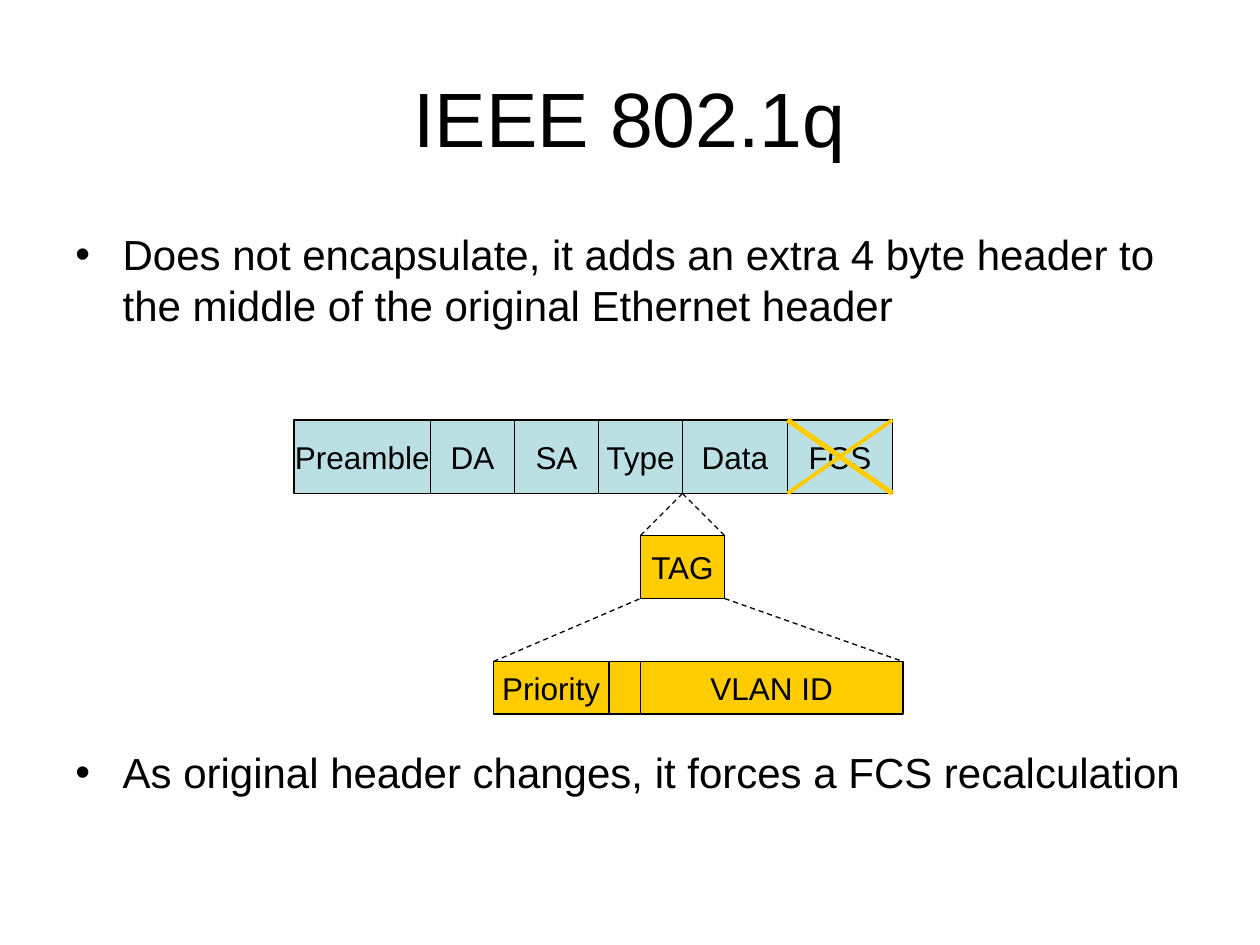
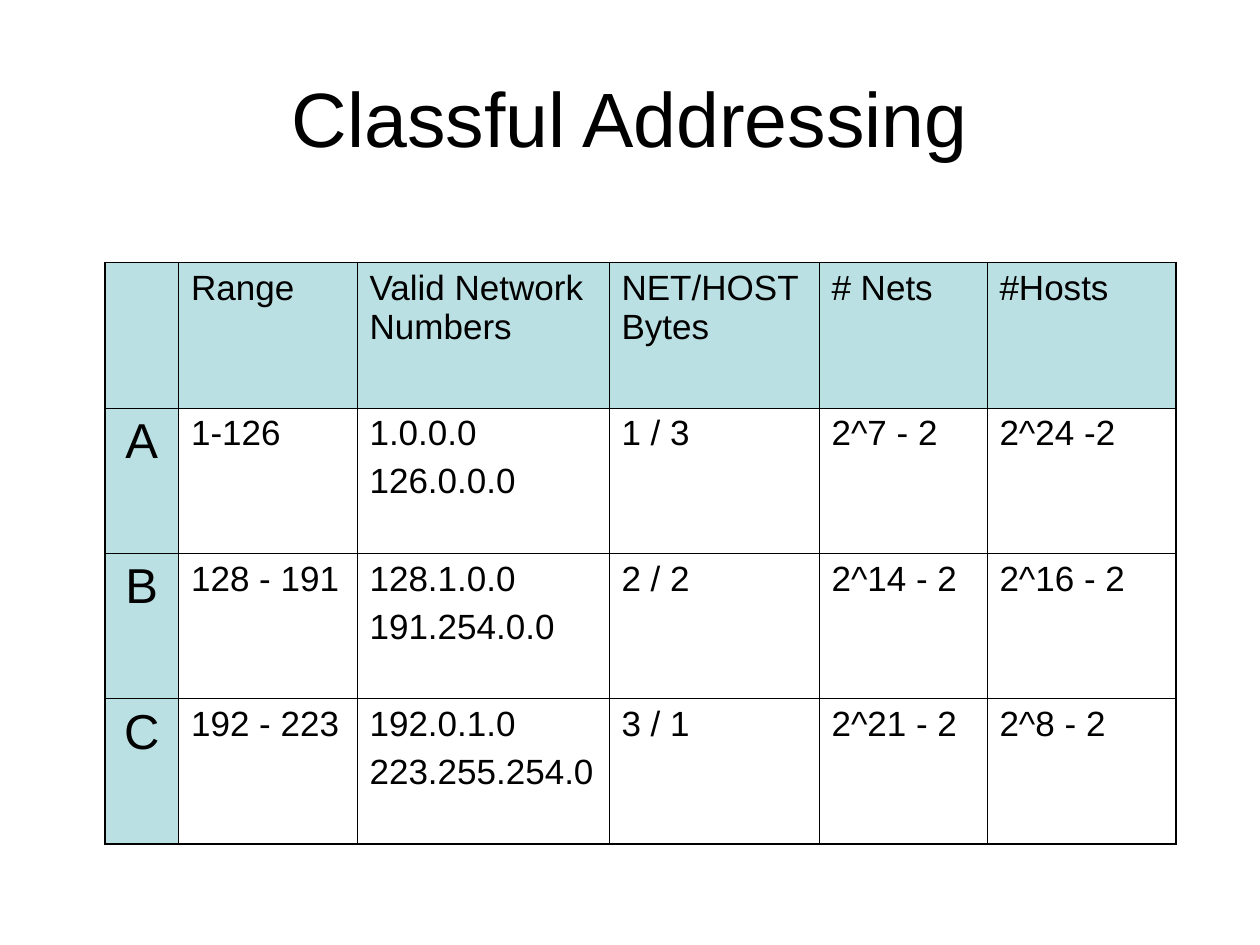
from itertools import product

from lxml.etree import SubElement
from pptx import Presentation
from pptx.dml.color import RGBColor
from pptx.enum.dml import MSO_LINE
from pptx.enum.shapes import MSO_CONNECTOR, MSO_SHAPE
from pptx.enum.text import MSO_ANCHOR, PP_ALIGN
from pptx.oxml.ns import qn
from pptx.util import Pt

FONT = "Arial"
BLACK = RGBColor(0x00, 0x00, 0x00)
TEAL = RGBColor(0xBB, 0xE0, 0xE3)
GOLD = RGBColor(0xFF, 0xCC, 0x00)
THIN, THICK = 0.45, 1.08


class Deck:
    def __init__(self):
        self.prs = Presentation()
        self.prs.slide_width, self.prs.slide_height = Pt(720), Pt(540)
        self.slide = None

    def style(self, frame, size, align=PP_ALIGN.LEFT):
        for para in frame.paragraphs:
            para.alignment = align
            for run in para.runs:
                run.font.name = FONT
                run.font.size = Pt(size)
                run.font.color.rgb = BLACK

    def page(self, title):
        self.slide = self.prs.slides.add_slide(self.prs.slide_layouts[5])
        head = self.slide.shapes.title
        head.left, head.top, head.width, head.height = Pt(36), Pt(21.6), Pt(648), Pt(90)
        frame = head.text_frame
        frame.text = title
        frame.vertical_anchor = MSO_ANCHOR.MIDDLE
        self.style(frame, 44, PP_ALIGN.CENTER)

    def bullets(self, left, top, width, height, texts, gap):
        frame = self.slide.shapes.add_textbox(
            Pt(left), Pt(top), Pt(width), Pt(height)).text_frame
        frame.word_wrap = True
        frame.text = "\n".join(texts)
        for i, para in enumerate(frame.paragraphs):
            props = para._p.get_or_add_pPr()
            props.set("marL", str(Pt(27)))
            props.set("indent", str(-Pt(27)))
            SubElement(props, qn("a:buFont")).set("typeface", FONT)
            SubElement(props, qn("a:buChar")).set("char", "•")
            para.line_spacing = Pt(29)
            if i:
                para.space_before = Pt(gap)
        self.style(frame, 24)

    def box(self, left, top, width, height, text, fill):
        box = self.slide.shapes.add_shape(
            MSO_SHAPE.RECTANGLE, Pt(left), Pt(top), Pt(width), Pt(height))
        box.shadow.inherit = False
        box.fill.solid()
        box.fill.fore_color.rgb = fill
        box.line.color.rgb = BLACK
        box.line.width = Pt(0.75)
        if text:
            frame = box.text_frame
            frame.text = text
            frame.word_wrap = False
            frame.vertical_anchor = MSO_ANCHOR.MIDDLE
            self.style(frame, 18, PP_ALIGN.CENTER)

    def row(self, left, top, height, fields, fill):
        """Draw adjoining fields from left to right and return the right edge."""
        for text, width in fields:
            self.box(left, top, width, height, text, fill)
            left += width
        return left

    def line(self, start, end, color=BLACK, width=0.75, dash=None):
        line = self.slide.shapes.add_connector(
            MSO_CONNECTOR.STRAIGHT, *map(Pt, start + end))
        line.line.color.rgb = color
        line.line.width = Pt(width)
        if dash:
            line.line.dash_style = dash
        SubElement(line._element.spPr, qn("a:effectLst"))

    def edge(self, cell, side, width):
        line = SubElement(cell._tc.get_or_add_tcPr(), qn("a:ln" + side))
        line.set("w", str(Pt(width)))
        fill = SubElement(line, qn("a:solidFill"))
        SubElement(fill, qn("a:srgbClr")).set("val", str(BLACK))

    def table(self, left, top, widths, height, rows):
        count, span = len(rows), len(widths)
        table = self.slide.shapes.add_table(
            count, span, Pt(left), Pt(top), Pt(sum(widths)), Pt(height * count)).table
        table.first_row = table.horz_banding = False
        for col, width in zip(table.columns, widths):
            col.width = Pt(width)
        for r, c in product(range(count), range(span)):
            cell = table.cell(r, c)
            # Heavy outer frame, fine inner rules
            outer = {"L": c == 0, "R": c == span - 1, "T": r == 0, "B": r == count - 1}
            for side, heavy in outer.items():
                self.edge(cell, side, THICK if heavy else THIN)
            if r == 0 or c == 0:
                cell.fill.solid()
                cell.fill.fore_color.rgb = TEAL
            else:
                cell.fill.background()
            # Cell text, with larger centred class letters
            frame = cell.text_frame
            frame.text = rows[r][c]
            for para in frame.paragraphs[1:]:
                para.space_before = Pt(5)
            if c == 0:
                self.style(frame, 28, PP_ALIGN.CENTER)
            else:
                self.style(frame, 20)


def frame_page(deck):
    deck.page("IEEE 802.1q")
    deck.bullets(36, 127, 648, 356, [
        "Does not encapsulate, it adds an extra 4 byte header to the middle "
        "of the original Ethernet header",
        "As original header changes, it forces a FCS recalculation",
    ], gap=238)

    # Ethernet frame, split where the tag goes in
    top, base = 240, 282
    split = deck.row(168, top, base - top, [
        ("Preamble", 78), ("DA", 48), ("SA", 48), ("Type", 48)], TEAL)
    fcs = deck.row(split, top, base - top, [("Data", 60)], TEAL)
    end = deck.row(fcs, top, base - top, [("FCS", 60)], TEAL)

    # Tag and its fields
    left, right = split - 24, split + 24
    deck.box(left, 306, 48, 36, "TAG", GOLD)
    low = 378
    far = deck.row(282, low, 30, [("Priority", 66), ("", 18), ("VLAN ID", 150)], GOLD)

    # Zoom lines
    for start, stop in [((left, 306), (split, base)), ((right, 306), (split, base)),
                        ((282, low), (left, 342)), ((right, 342), (far, low))]:
        deck.line(start, stop, dash=MSO_LINE.DASH)

    # Old checksum crossed out
    deck.line((fcs, top), (end, base), GOLD, 3)
    deck.line((fcs, base), (end, top), GOLD, 2.25)


def class_page(deck):
    deck.page("Classful Addressing")
    deck.table(60, 150, [42, 102, 144, 120, 96, 108], 83.1, [
        ["", "Range", "Valid Network Numbers", "NET/HOST Bytes", "# Nets", "#Hosts"],
        ["A", "1-126", "1.0.0.0\n126.0.0.0", "1 / 3", "2^7 - 2", "2^24 -2"],
        ["B", "128 - 191", "128.1.0.0\n191.254.0.0", "2 / 2", "2^14 - 2", "2^16 - 2"],
        ["C", "192 - 223", "192.0.1.0\n223.255.254.0", "3 / 1", "2^21 - 2", "2^8 - 2"],
    ])


def main():
    deck = Deck()
    frame_page(deck)
    class_page(deck)
    deck.prs.save("out.pptx")


if __name__ == "__main__":
    main()
